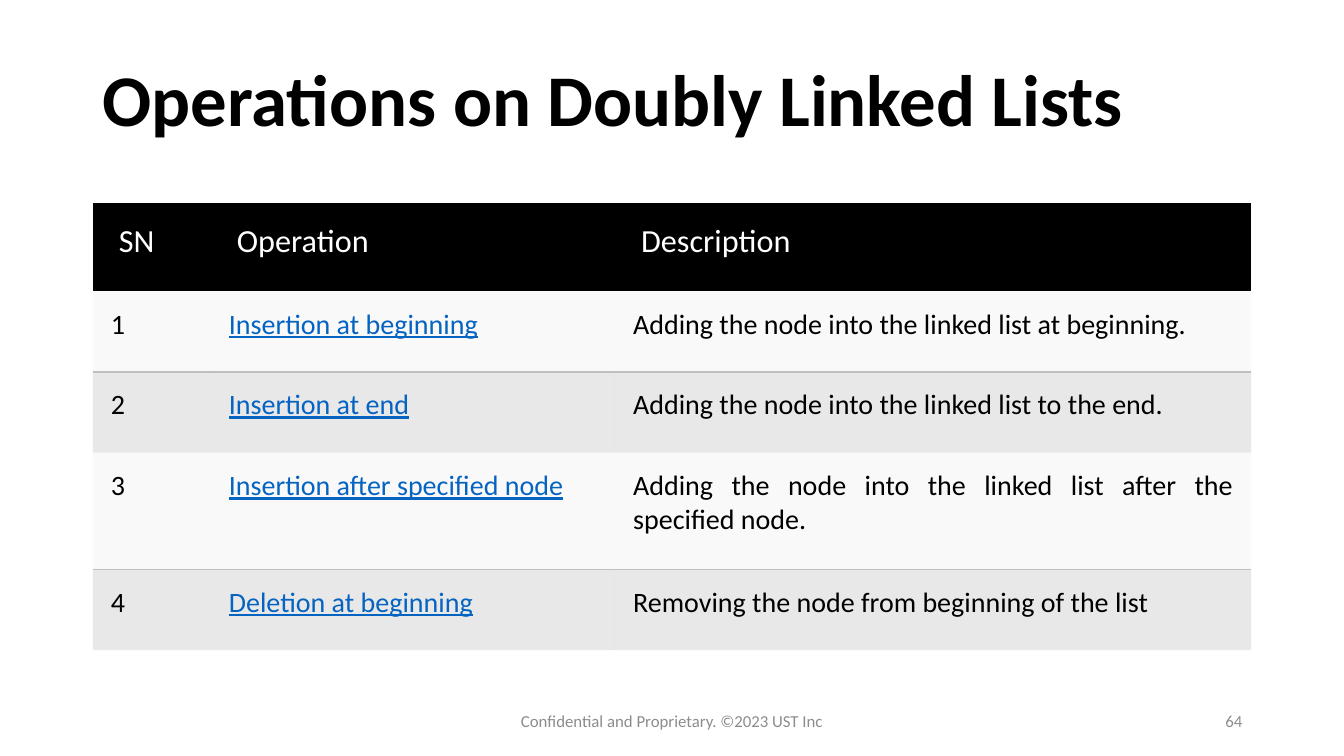
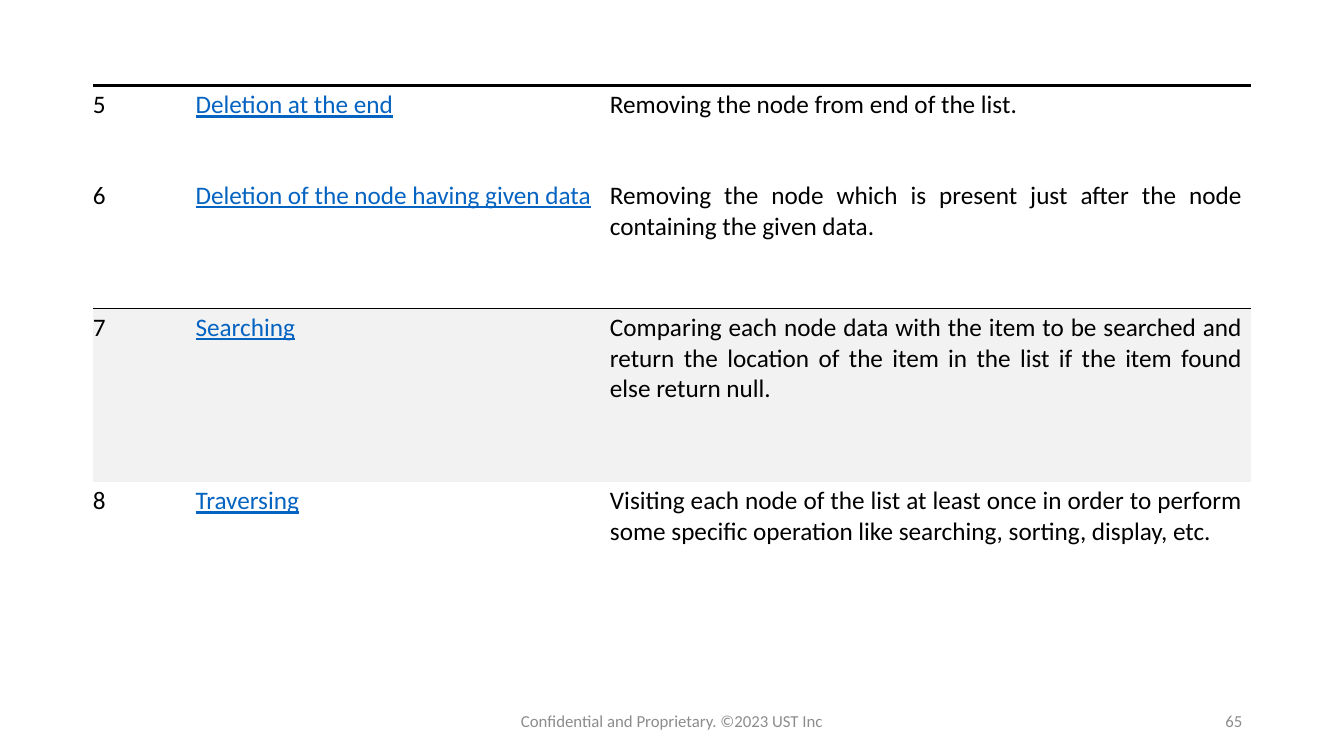
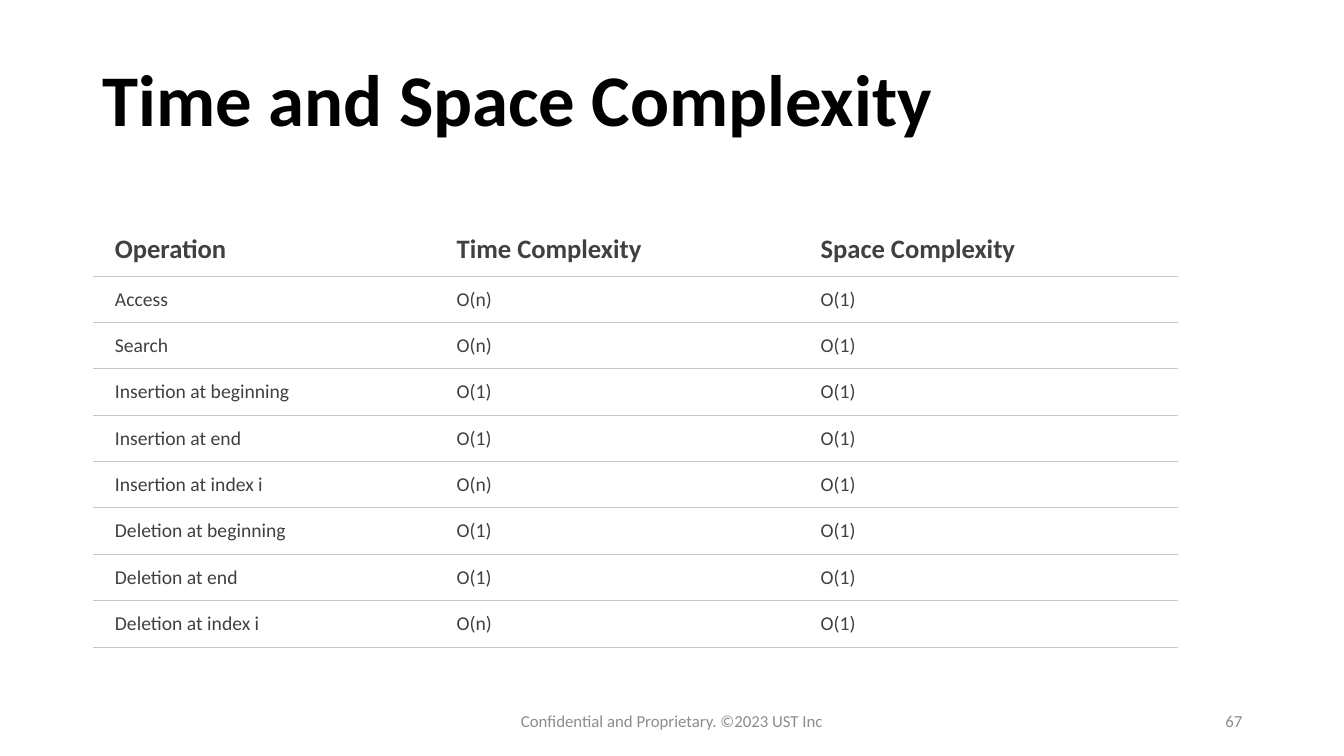
from lxml.etree import SubElement as Sub
from pptx import Presentation
from pptx.dml.color import RGBColor as RGB
from pptx.enum.text import MSO_ANCHOR as Anchor, PP_ALIGN as Align
from pptx.oxml.ns import qn
from pptx.util import Inches, Pt


class Theme:
    font = "Calibri"
    black, white, link = "000000", "FFFFFF", "0563C1"
    grey, ink, rule = "8C8C8C", "404040", "C7C6C1"
    pale, band = "F2F2F2", "BFBFBF"
    title, foot = 52, 12
    plain = "{2D5ABB26-0587-4C30-8999-92F81FD0307C}"  # table style: none, no grid


WIDE, HIGH = 13.33, 7.5
EDGE = 0.92
BODY = 11.5
FOOT = "Confidential and Proprietary. ©2023 UST Inc"

# Row looks: fill, opacity in percent, top and bottom lines as (colour, points)
THICK, THIN = (Theme.black, 2.25), (Theme.black, 0.5)
SOFT, HAIR = (Theme.band, 1), (Theme.rule, 0.75)
HEAD = (Theme.black, 100, None, None)
ODD = (Theme.pale, 45, None, SOFT)
EVEN = (Theme.band, 35, SOFT, None)

# Text styles: size, colour, bold, anchor, alignment, insets (left, top, right, bottom)
TOP, MID, LOW = Anchor.TOP, Anchor.MIDDLE, Anchor.BOTTOM
WIDE_IN, CELL_IN = (0.26, 0.16, 0.26, 0.26), (0.18, 0.16, 0.18, 0.18)
FLAT_IN, COST_IN = (0, 0.04, 0.09, 0.26), (0.22, 0.11, 0.16, 0.11)
HEAD_TX = (23, Theme.white, False, MID, Align.LEFT, WIDE_IN)
CELL_TX = (20, Theme.black, False, TOP, Align.JUSTIFY, CELL_IN)
FLAT_TX = (18, Theme.black, False, TOP, Align.JUSTIFY, FLAT_IN)
COST_HEAD = (19, Theme.ink, True, LOW, Align.LEFT, COST_IN)
COST_TX = (14, Theme.ink, False, MID, Align.LEFT, COST_IN)

# Content: each row is height, look, text style, cells; "links" is the linked column
SLIDES = [
    {
        "title": "Operations on Doubly Linked Lists", "page": "64",
        "at": (EDGE, 2.01), "cols": (1.17, 4.01, 6.31), "links": 1,
        "rows": [
            (0.88, HEAD, HEAD_TX, ("SN", "Operation", "Description")),
            (0.8, ODD, CELL_TX, ("1", "Insertion at beginning",
             "Adding the node into the linked list at beginning.")),
            (0.8, EVEN, CELL_TX, ("2", "Insertion at end",
             "Adding the node into the linked list to the end.")),
            (1.16, ODD, CELL_TX, ("3", "Insertion after specified node",
             "Adding the node into the linked list after the specified node.")),
            (0.8, EVEN, CELL_TX, ("4", "Deletion at beginning",
             "Removing the node from beginning of the list")),
        ],
    },
    {
        "title": None, "page": "65",
        "at": (EDGE, 0.85), "cols": (1.02, 4.11, 6.36), "links": 1,
        "rows": [
            (0.9, (None, 100, THICK, None), FLAT_TX, ("5", "Deletion at the end",
             "Removing the node from end of the list.")),
            (1.31, (None, 100, None, THIN), FLAT_TX,
             ("6", "Deletion of the node having given data",
              "Removing the node which is present just after the node "
              "containing the given data.")),
            (1.72, (Theme.pale, 100, THIN, None), FLAT_TX, ("7", "Searching",
             "Comparing each node data with the item to be searched and return "
             "the location of the item in the list if the item found else "
             "return null.")),
            (1.31, (None, 100, None, None), FLAT_TX, ("8", "Traversing",
             "Visiting each node of the list at least once in order to perform "
             "some specific operation like searching, sorting, display, etc.")),
        ],
    },
    {
        "title": "Time and Space Complexity", "page": "67",
        "at": (EDGE, 2.2), "cols": (3.39, 3.61, 3.76), "links": None,
        "rows": [
            (0.54, (None, 100, None, HAIR), COST_HEAD,
             ("Operation", "Time Complexity", "Space Complexity")),
        ] + [
            (0.46, (None, 100, HAIR, HAIR), COST_TX, (name, time, "O(1)"))
            for name, time in [
                ("Access", "O(n)"), ("Search", "O(n)"),
                ("Insertion at beginning", "O(1)"), ("Insertion at end", "O(1)"),
                ("Insertion at index i", "O(n)"),
                ("Deletion at beginning", "O(1)"), ("Deletion at end", "O(1)"),
                ("Deletion at index i", "O(n)"),
            ]
        ],
    },
]


def style(para, size, color, bold=False, align=Align.LEFT, line=False):
    para.alignment = align
    for run in para.runs:
        font = run.font
        font.name, font.size, font.bold = Theme.font, Pt(size), bold
        font.color.rgb = RGB.from_string(color)
        font.underline = line


def label(slide, box, text, *look):
    frame = slide.shapes.add_textbox(*map(Inches, box)).text_frame
    frame.word_wrap = True
    frame.vertical_anchor = MID
    frame.text = text
    para = frame.paragraphs[0]
    style(para, *look)
    return para


def frame_up(slide, title, page):
    """Title and footer, the same on every slide."""
    if title:
        para = label(slide, (EDGE, 0.2, BODY, 1.65), title,
                     Theme.title, Theme.black, True)
        para.line_spacing = 0.9
    mid, end = 4.5, 3
    for left, width, text, align in [
        ((WIDE - mid) / 2, mid, FOOT, Align.CENTER),
        (EDGE + BODY - end, end, page, Align.RIGHT),
    ]:
        para = label(slide, (left, 6.95, width, 0.4), text,
                     Theme.foot, Theme.grey, False, align)
        para.space_after = Pt(6)


def paint(cell, fill, alpha, top, low):
    """Fill a cell and draw its top and bottom lines."""
    props = cell._tc.get_or_add_tcPr()
    if fill:
        cell.fill.solid()
        cell.fill.fore_color.rgb = RGB.from_string(fill)
        if alpha < 100:
            tint = props.find(".//" + qn("a:srgbClr"))
            Sub(tint, qn("a:alpha"), val=str(alpha * 1000))
    else:
        cell.fill.background()
    edges = [("a:lnL", None), ("a:lnR", None), ("a:lnT", top), ("a:lnB", low)]
    for spot, (tag, pen) in enumerate(edges):
        line = Sub(props, qn(tag))
        props.insert(spot, line)
        if pen:
            line.set("w", str(Pt(pen[1])))
            Sub(Sub(line, qn("a:solidFill")), qn("a:srgbClr"), val=pen[0])
        else:
            Sub(line, qn("a:noFill"))


def write(cell, text, look, link):
    size, color, bold, anchor, align, pads = look
    cell.text_frame.text = text
    cell.vertical_anchor = anchor
    (cell.margin_left, cell.margin_top,
     cell.margin_right, cell.margin_bottom) = map(Inches, pads)
    style(cell.text_frame.paragraphs[0], size,
          Theme.link if link else color, bold, align, link)


def grid(slide, at, cols, rows, links):
    size = sum(cols), sum(row[0] for row in rows)
    table = slide.shapes.add_table(
        len(rows), len(cols), *map(Inches, at + size)).table
    table.first_row = table.horz_banding = False
    table._tbl.tblPr.find(qn("a:tableStyleId")).text = Theme.plain
    for col, width in zip(table.columns, cols):
        col.width = Inches(width)
    for r, (high, fill, look, texts) in enumerate(rows):
        table.rows[r].height = Inches(high)
        for c, text in enumerate(texts):
            cell = table.cell(r, c)
            write(cell, text, look, c == links and look is not HEAD_TX)
            paint(cell, *fill)


def main():
    deck = Presentation()
    deck.slide_width, deck.slide_height = Inches(WIDE), Inches(HIGH)
    for page in SLIDES:
        slide = deck.slides.add_slide(deck.slide_layouts[6])
        frame_up(slide, page["title"], page["page"])
        grid(slide, page["at"], page["cols"], page["rows"], page["links"])
    deck.save("out.pptx")


if __name__ == "__main__":
    main()
